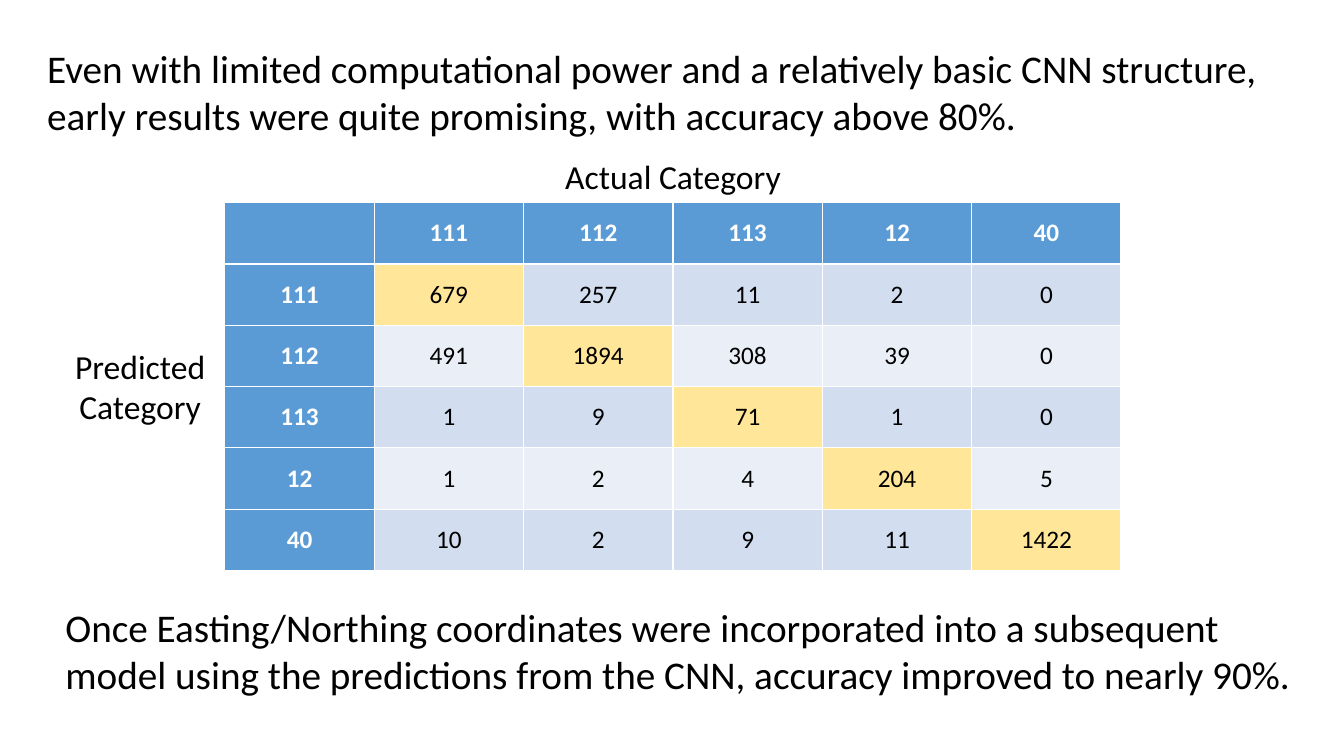
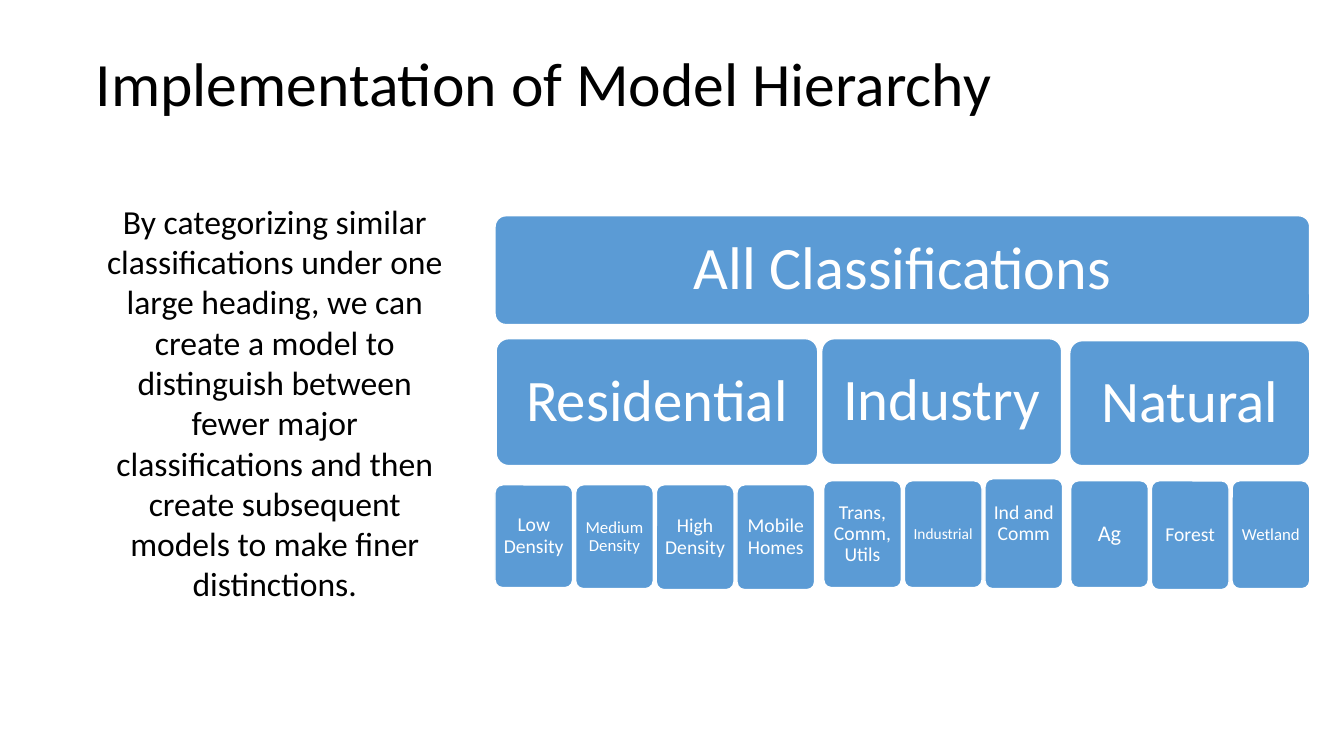
"""Build two slides: CNN confusion matrix and model hierarchy."""
from dataclasses import dataclass

from pptx import Presentation
from pptx.dml.color import RGBColor
from pptx.enum.shapes import MSO_SHAPE
from pptx.enum.text import MSO_ANCHOR, MSO_AUTO_SIZE, PP_ALIGN
from pptx.util import Inches, Pt

ROUNDED = MSO_SHAPE.ROUNDED_RECTANGLE
TOP, MIDDLE = MSO_ANCHOR.TOP, MSO_ANCHOR.MIDDLE
LEFT, CENTER = PP_ALIGN.LEFT, PP_ALIGN.CENTER
NO_FIT = MSO_AUTO_SIZE.NONE


@dataclass(frozen=True)
class Theme:
    font: str = "Calibri"
    black: RGBColor = RGBColor(0x00, 0x00, 0x00)
    white: RGBColor = RGBColor(0xFF, 0xFF, 0xFF)
    blue: RGBColor = RGBColor(0x5B, 0x9B, 0xD5)
    gold: RGBColor = RGBColor(0xFF, 0xE6, 0x99)
    bands: tuple = (RGBColor(0xEA, 0xEF, 0xF7), RGBColor(0xD2, 0xDE, 0xEF))
    title: int = 44
    body: int = 28
    label: int = 24
    cell: int = 18


T = Theme()


def write(tf, text, size, color=T.black, align=LEFT, bold=False, spacing=1.0):
    p = tf.paragraphs[0]
    p.alignment, p.line_spacing = align, spacing
    r = p.add_run()
    r.text = text
    font = {"name": T.font, "size": Pt(size), "bold": bold}
    for name, value in font.items():
        setattr(r.font, name, value)
    r.font.color.rgb = color


def add_box(s, text, x, y, w, h, size):
    sp = s.shapes.add_shape(ROUNDED, Inches(x), Inches(y), Inches(w), Inches(h))
    sp.adjustments[0] = 0.1
    sp.shadow.inherit = False
    sp.fill.solid()
    sp.fill.fore_color.rgb = T.blue
    sp.line.color.rgb = T.white
    sp.line.width = Pt(1)
    tf = sp.text_frame
    inset = Pt(size * 0.3)
    frame = {"word_wrap": True, "vertical_anchor": MIDDLE, "margin_left": inset,
             "margin_right": inset, "margin_top": inset, "margin_bottom": inset}
    for name, value in frame.items():
        setattr(tf, name, value)
    write(tf, text, size, T.white, CENTER, spacing=0.9)
    return sp


prs = Presentation()
prs.slide_width, prs.slide_height = Inches(13.33), Inches(7.5)
matrix_slide = prs.slides.add_slide(prs.slide_layouts[6])
tree_slide = prs.slides.add_slide(prs.slide_layouts[5])

classes = ["111", "112", "113", "12", "40"]
counts = [
    [679, 257, 11, 2, 0],
    [491, 1894, 308, 39, 0],
    [1, 9, 71, 1, 0],
    [1, 2, 4, 204, 5],
    [10, 2, 9, 11, 1422],
]
rows = [[""] + classes] + [[c] + row for c, row in zip(classes, counts)]
n = len(rows)
table = matrix_slide.shapes.add_table(
    n, n, Inches(2.23), Inches(2.01), Inches(8.89), Inches(3.65)).table
table.first_col = True
for i, row in enumerate(rows):
    for j, value in enumerate(row):
        cell = table.cell(i, j)
        cell.vertical_anchor = MIDDLE
        header = i == 0 or j == 0
        cell.fill.solid()
        cell.fill.fore_color.rgb = (
            T.blue if header else T.gold if i == j else T.bands[i % 2])
        if value != "":
            write(cell.text_frame, str(value), T.cell,
                  T.white if header else T.black, CENTER, header)

texts = [
    (matrix_slide, 0.37, 0.39, 12.62, 1.04, T.body, LEFT,
     "Even with limited computational power and a relatively basic CNN structure, "
     "early results were quite promising, with accuracy above 80%."),
    (matrix_slide, 4.03, 1.5, 5.29, 0.5, T.label, CENTER, "Actual Category"),
    (matrix_slide, 0.55, 3.38, 1.68, 0.91, T.label, CENTER, "Predicted Category"),
    (matrix_slide, 0.55, 5.94, 12.44, 1.04, T.body, LEFT,
     "Once Easting/Northing coordinates were incorporated into a subsequent "
     "model using the predictions from the CNN, accuracy improved to nearly 90%."),
    (tree_slide, 0.85, 1.94, 3.75, 4.14, T.label, CENTER,
     "By categorizing similar classifications under one large heading, we can "
     "create a model to distinguish between fewer major classifications and then "
     "create subsequent models to make finer distinctions."),
]
for s, x, y, w, h, size, align, text in texts:
    tf = s.shapes.add_textbox(Inches(x), Inches(y), Inches(w), Inches(h)).text_frame
    tf.word_wrap = True
    write(tf, text, size, align=align)

title = tree_slide.shapes.title
place = {"left": 0.85, "top": 0.4, "width": 10.59, "height": 0.84}
for name, value in place.items():
    setattr(title, name, Inches(value))
title.text_frame.auto_size = NO_FIT
title.text_frame.vertical_anchor = TOP
write(title.text_frame, "Implementation of Model Hierarchy", T.title)

add_box(tree_slide, "All Classifications", 4.91, 2.14, 8.08, 1.08, 43)
branches = [
    ("Residential", 4.92, 3.36, 3.19, 1.26, 4.91, [
        ("Low Density", 4.81, 1.02, 14), ("Medium Density", 4.81, 1.03, 12),
        ("High Density", 4.81, 1.04, 14), ("Mobile Homes", 4.81, 1.04, 14)]),
    ("Industry", 8.15, 3.36, 2.38, 1.25, 8.17, [
        ("Trans, Comm, Utils", 4.77, 1.06, 14), ("Industrial", 4.77, 1.06, 11),
        ("Ind and Comm", 4.75, 1.09, 14)]),
    ("Natural", 10.61, 3.38, 2.38, 1.24, 10.62, [
        ("Ag", 4.77, 1.06, 16), ("Forest", 4.77, 1.08, 14),
        ("Wetland", 4.77, 1.07, 12)]),
]
leaf_w, leaf_gap = 0.77, 0.03
for name, x, y, w, h, leaf_x, leaves in branches:
    add_box(tree_slide, name, x, y, w, h, 42)
    for k, (leaf, leaf_y, leaf_h, size) in enumerate(leaves):
        sp = add_box(tree_slide, leaf, leaf_x + k * (leaf_w + leaf_gap),
                     leaf_y, leaf_w, leaf_h, size)
        if leaf == "Ind and Comm":
            sp.text_frame.margin_bottom = Inches(0.26)

prs.save("out.pptx")
